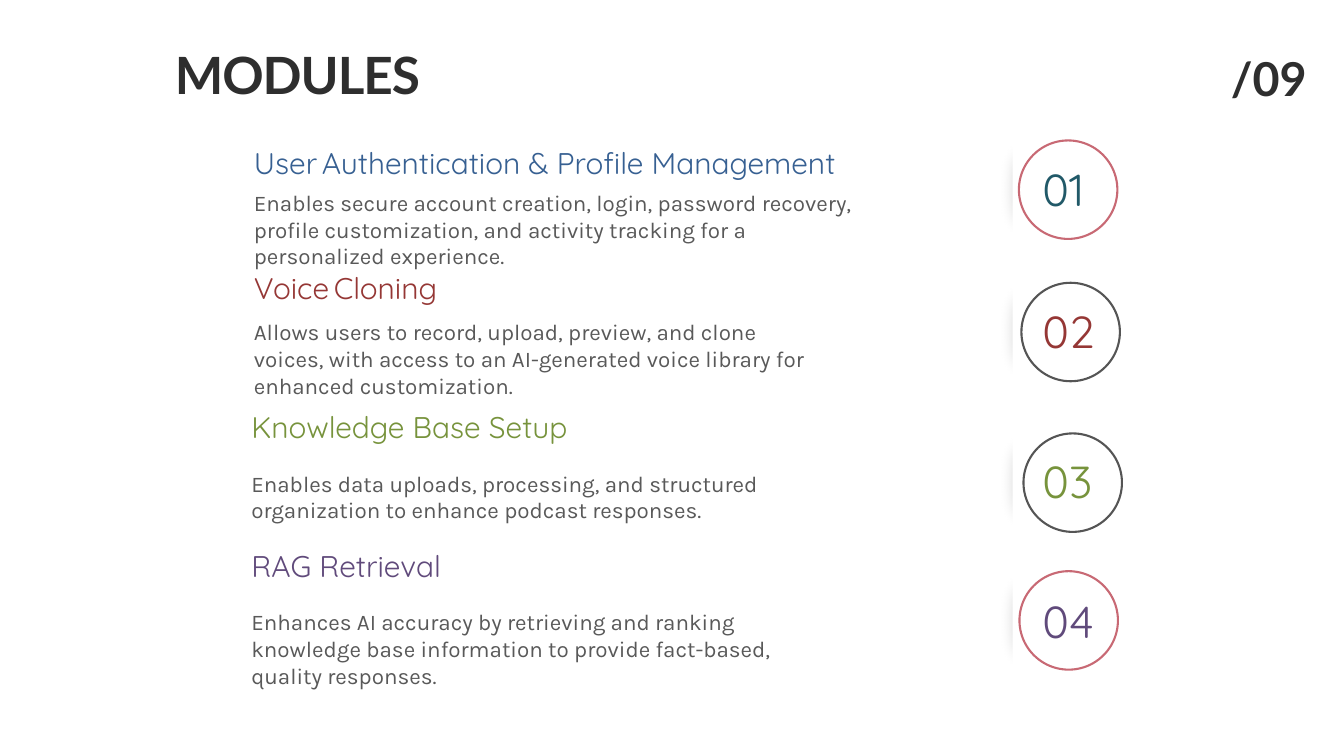
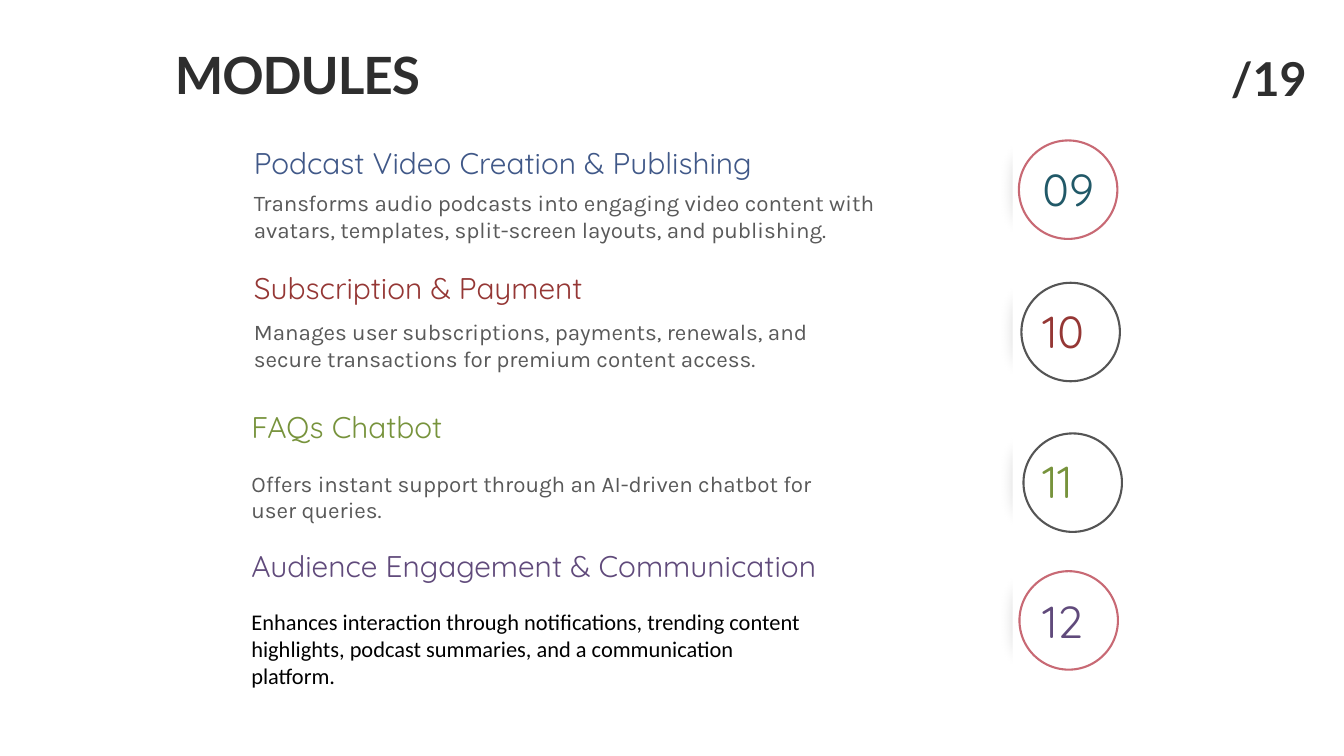
"""Build two slides that list the modules of a podcast system."""
from collections import namedtuple

from lxml.etree import SubElement
from pptx import Presentation
from pptx.dml.color import RGBColor as Rgb
from pptx.enum.shapes import MSO_SHAPE as Kind
from pptx.enum.text import MSO_ANCHOR as Anchor, MSO_AUTO_SIZE as Fit, PP_ALIGN as Align
from pptx.oxml.ns import qn
from pptx.util import Pt

INK = Rgb(0x2E, 0x2E, 0x2E)
GREY = Rgb(0x59, 0x59, 0x59)
BLACK = Rgb(0, 0, 0)
SHADE = Rgb(0x0D, 0x0D, 0x0D)
WHITE = Rgb(0xFF, 0xFF, 0xFF)
ROSE = Rgb(0xC8, 0x69, 0x74)
SLATE = Rgb(0x55, 0x55, 0x55)
BLUE = Rgb(0x37, 0x60, 0x92)
NAVY = Rgb(0x40, 0x58, 0x88)
TEAL = Rgb(0x21, 0x59, 0x68)
RED = Rgb(0x95, 0x37, 0x35)
GREEN = Rgb(0x77, 0x93, 0x3C)
PLUM = Rgb(0x60, 0x4A, 0x7B)

BADGE = 1085
RING = 105.5
SHADOW = (105, 142)
GAP = "|"

Row = namedtuple("Row", "left top head body wide ring_x ring_y ring tint")
Item = namedtuple("Item", "head width lines body tint font ink", defaults=(None, "Karla", GREY))

ROWS = [
    Row(272, 131, 34, 71.3, 665, 6.7, 19.5, ROSE, TEAL),
    Row(272, 283, 16.5, 57.6, 608, 9.4, 20, SLATE, RED),
    Row(269.3, 444.2, 3.6, 59, 608, 11.6, 20.2, SLATE, GREEN),
    Row(269.3, 594, 3, 57.6, 608, 7.3, 18, ROSE, PLUM),
]

PAGES = [
    ("/09", 1, [
        Item("User|Authentication & Profile Management", 665, 2,
             "Enables secure account creation, login, password recovery, profile "
             "customization, and activity tracking for a personalized experience.", BLUE),
        Item("Voice|Cloning", 335.5, 3,
             "Allows users to record, upload, preview, and clone voices, with access "
             "to an AI-generated voice library for enhanced customization."),
        Item("Knowledge Base Setup", 396.7, 2,
             "Enables data uploads, processing, and structured organization to "
             "enhance podcast responses."),
        Item("RAG Retrieval", 486.7, 2,
             "Enhances AI accuracy by retrieving and ranking knowledge base "
             "information to provide fact-based, quality responses."),
    ]),
    ("/19", 9, [
        Item("Podcast Video Creation & Publishing", 665, 2,
             "Transforms audio podcasts into engaging video content with avatars, "
             "templates, split-screen layouts, and publishing.", NAVY),
        Item("Subscription & Payment", 396.7, 2,
             "Manages user subscriptions, payments, renewals, and secure "
             "transactions for premium content access."),
        Item("FAQs Chatbot", 396.7, 2,
             "Offers instant support through an AI-driven chatbot for user queries."),
        Item("Audience Engagement & Communication", 643, 3,
             "Enhances interaction through notifications, trending content "
             "highlights, podcast summaries, and a communication platform.",
             None, "Calibri", BLACK),
    ]),
]


def style(run, font, size, ink, bold=False):
    """Set the font, size, colour and weight of a run."""
    run.font.name = font
    run.font.size = Pt(size)
    run.font.color.rgb = ink
    run.font.bold = bold


def label(slide, box, text, font, size, ink, pitch, bold=False, align=Align.LEFT):
    """Add a text box without insets, and return its paragraph."""
    shape = slide.shapes.add_textbox(*map(Pt, box))
    frame = shape.text_frame
    frame.word_wrap = True
    frame.auto_size = Fit.SHAPE_TO_FIT_TEXT
    frame.margin_left = frame.margin_top = frame.margin_right = frame.margin_bottom = 0
    para = frame.paragraphs[0]
    para.text = text
    para.alignment = align
    para.line_spacing = Pt(pitch)
    style(para.runs[0], font, size, ink, bold)
    return para


def solid(slide, kind, box, fill=None, line=None):
    """Add a flat shape with an optional fill and outline."""
    shape = slide.shapes.add_shape(kind, *map(Pt, box))
    shape.shadow.inherit = False
    if fill is None:
        shape.fill.background()
    else:
        shape.fill.solid()
        shape.fill.fore_color.rgb = fill
    if line is None:
        shape.line.fill.background()
    else:
        shape.line.color.rgb = line
        shape.line.width = Pt(2.25)
    return shape


def header(slide, page):
    """Place the slide title and the page mark."""
    label(slide, (1294.6, 43.2, 129.6, 64), page, "Lato", 50, INK, 70, True, Align.CENTER)
    title = label(slide, (164.2, 64.8, 309, 48), "MODULES", "Lato", 55, INK, 47.6,
                  True, Align.CENTER)
    title.runs[0]._r.get_or_add_rPr().set("spc", "-110")


def entry(slide, row, item):
    """Place the heading and the body of one module."""
    label(slide, (row.left, row.top + row.body, row.wide, 28.8 * item.lines),
          item.body, item.font, 24, item.ink, 28.8)
    first, gap, rest = item.head.partition(GAP)
    tint = item.tint or row.tint
    para = label(slide, (row.left, row.top + row.head, item.width, 28),
                 first, "Quicksand", 32, tint, 28)
    if gap:
        space = para.add_run()
        space.text = " "
        style(space, "Lato", 20, tint, True)
        tail = para.add_run()
        tail.text = rest
        style(tail, "Quicksand", 32, tint)


def badge(slide, row, number):
    """Place the soft shadow, the numbered panel and the ring of one module."""
    shade = solid(slide, Kind.RECTANGLE, (BADGE - 28.5, row.top + 0.5, *SHADOW), SHADE)
    props = shade._element.spPr
    SubElement(props.find(".//" + qn("a:srgbClr")), qn("a:alpha"), val="30000")
    SubElement(props.find(qn("a:effectLst")), qn("a:softEdge"), rad=str(Pt(25)))
    panel = solid(slide, Kind.RECTANGLE, (BADGE, row.top, 808, 142), WHITE)
    frame = panel.text_frame
    frame.vertical_anchor = Anchor.MIDDLE
    frame.margin_left = Pt(32)
    para = frame.paragraphs[0]
    para.text = f"{number:02d}"
    para.alignment = Align.LEFT
    style(para.runs[0], "Quicksand", 48, row.tint)
    solid(slide, Kind.OVAL, (BADGE + row.ring_x, row.top + row.ring_y, RING, RING),
          line=row.ring)


def main():
    """Build and save the slides."""
    deck = Presentation()
    deck.slide_width, deck.slide_height = Pt(1440), Pt(810)
    for page, start, items in PAGES:
        slide = deck.slides.add_slide(deck.slide_layouts[6])
        header(slide, page)
        for number, (row, item) in enumerate(zip(ROWS, items), start):
            entry(slide, row, item)
            badge(slide, row, number)
    deck.save("out.pptx")


if __name__ == "__main__":
    main()
